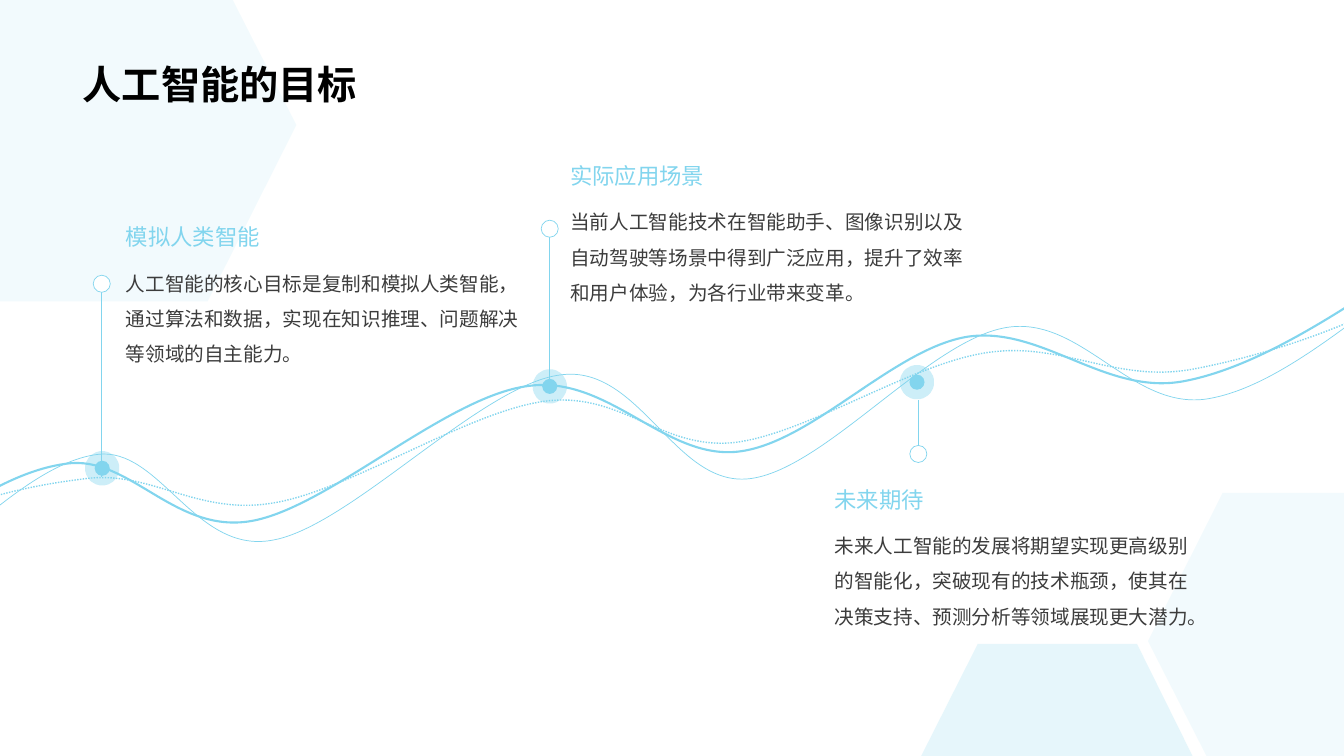
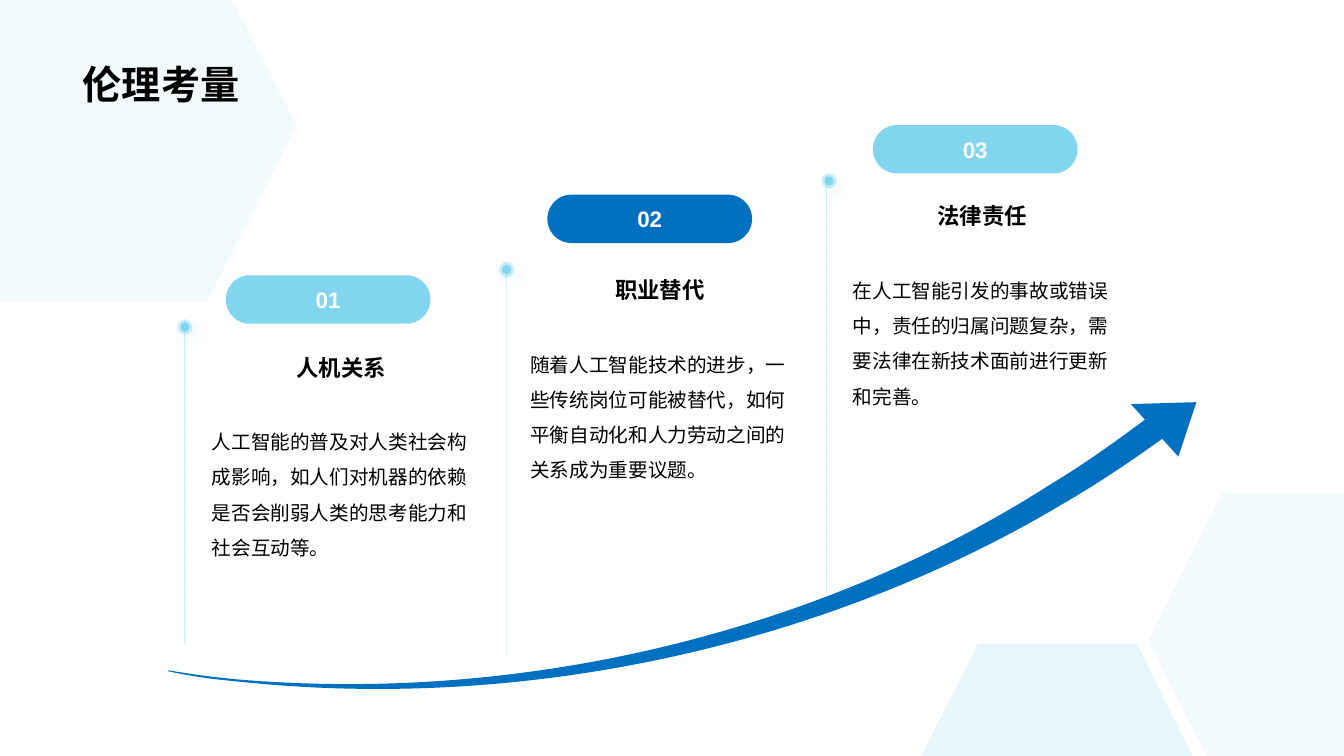
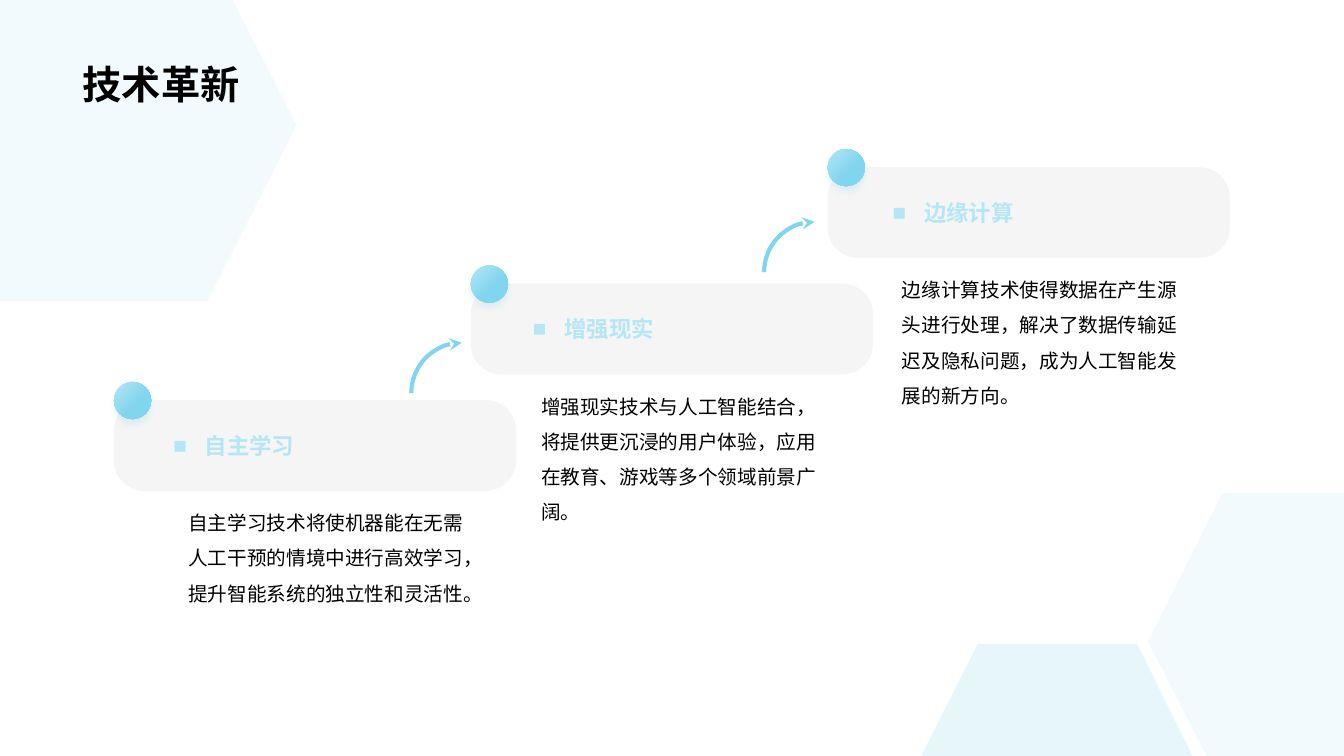
from lxml.etree import SubElement
from pptx import Presentation
from pptx.dml.color import RGBColor
from pptx.enum.dml import MSO_LINE
from pptx.enum.shapes import MSO_CONNECTOR, MSO_SHAPE
from pptx.enum.text import MSO_ANCHOR, MSO_AUTO_SIZE, PP_ALIGN
from pptx.oxml.ns import qn
from pptx.util import Pt

SKY = RGBColor(0x82, 0xD5, 0xEE)
PALE_SKY = RGBColor(0xB4, 0xE6, 0xF5)
BLUE = RGBColor(0x00, 0x70, 0xC0)
CARD_GREY = RGBColor(0xF5, 0xF5, 0xF5)
TEXT_GREY = RGBColor(0x3C, 0x3C, 0x3C)
BLACK = RGBColor(0, 0, 0)
WHITE = RGBColor(0xFF, 0xFF, 0xFF)
CJK = "Noto Sans CJK SC"
LATIN = "Arial"
WIDTH, HEIGHT = 960, 540

HEXAGONS = [
    (10, [(0, 0), (166.3, 0), (211.7, 89.3), (148.3, 215.3), (0, 215.3)]),
    (20, [(698.4, 460), (812.2, 460), (851.8, 540), (658, 540)]),
    (10, [(873.4, 352), (960, 352), (960, 540), (861.8, 540), (820, 458)]),
]

WAVES = [
    (1.5, None, [
        (-89.3, 408.2), (-43.2, 372.2), (2.9, 337), (47.5, 331.2),
        (92.2, 324.7), (124.6, 381.6), (179.3, 372.2),
        (234, 362.9), (318.2, 283.7), (376.6, 275.8),
        (434.2, 267.1), (474.5, 328.3), (527, 322.6),
        (579.6, 316.8), (637.9, 249.1), (691.2, 240.5),
        (744.5, 232.6), (789.8, 283), (846, 272.2),
        (902.2, 261.4), (964.8, 218.2), (1028.2, 175)]),
    (1, MSO_LINE.ROUND_DOT, [
        (-90, 396.7), (-43.9, 360.7), (13, 347.8), (60.5, 342),
        (108, 335.5), (140.4, 368.6), (195.1, 359.3),
        (249.8, 350.6), (334.1, 293.8), (389.5, 286.6),
        (444.2, 279.4), (472.3, 321.8), (524.9, 316.1),
        (576.7, 309.6), (649.4, 260.6), (704.2, 252),
        (758.9, 243.4), (797, 274.3), (853.2, 263.5),
        (909.4, 252.7), (982.8, 229), (1045.4, 185.8)]),
    (0.5, None, [
        (-74.2, 422.6), (-28.1, 386.6), (24.5, 330.5), (69.1, 324.7),
        (113.8, 318.2), (139, 396), (194.4, 385.9),
        (249.8, 376.6), (343.4, 275), (400.3, 267.8),
        (457.2, 259.9), (481.7, 347.8), (535, 342),
        (588.2, 336.2), (663.1, 243.4), (718.6, 234),
        (773.3, 224.6), (809.3, 295.9), (865.4, 284.4),
        (921.6, 273.6), (985, 211.7), (1048.3, 169.2)]),
]

GOALS = [
    dict(heading="模拟人类智能", at=(82.8, 156.2), width=298.8,
         body="人工智能的核心目标是复制和模拟人类智能，通过算法和数据，实现在知识推理、问题解决等领域的自主能力。",
         node=(73, 334.5), ring=(72.7, 202.7), stem=(340.6, 208.8)),
    dict(heading="实际应用场景", at=(400.3, 112.3), width=301,
         body="当前人工智能技术在智能助手、图像识别以及自动驾驶等场景中得到广泛应用，提升了效率和用户体验，为各行业带来变革。",
         node=(392.7, 276), ring=(392.7, 163.4), stem=(270.7, 169.5)),
    dict(heading="未来期待", at=(589, 343.4), width=270.7,
         body="未来人工智能的发展将期望实现更高级别的智能化，突破现有的技术瓶颈，使其在决策支持、预测分析等领域展现更大潜力。",
         node=(655, 273), ring=(656, 324.3), stem=(285.8, 318.2)),
]

CONCERNS = [
    dict(number="01", color=SKY, heading="人机关系", pill=(161.3, 196.6),
         body="人工智能的普及对人类社会构成影响，如人们对机器的依赖是否会削弱人类的思考能力和社会互动等。",
         at=(142.6, 249.1), dot=(132.1, 233.6), stem=(131.8, 228.2, 460.8)),
    dict(number="02", color=BLUE, heading="职业替代", pill=(391, 139),
         body="随着人工智能技术的进步，一些传统岗位可能被替代，如何平衡自动化和人力劳动之间的关系成为重要议题。",
         at=(370.1, 193.7), dot=(361.8, 192.6), stem=(361.4, 186.5, 468.7)),
    dict(number="03", color=SKY, heading="法律责任", pill=(623.5, 89.3),
         body="在人工智能引发的事故或错误中，责任的归属问题复杂，需要法律在新技术面前进行更新和完善。",
         at=(600.5, 141.1), dot=(592.2, 129.2), stem=(590.4, 126, 423.4)),
]
SWOOSH_UPPER = [
    (120.2, 478.8), (136.8, 481.7), (152.6, 483.8), (169.2, 485.3),
    (379.4, 503.3), (589.7, 448.6), (748.8, 347),
    (774, 331.9), (797, 315.4), (820.1, 298.1)]
SWOOSH_LOWER = [
    (834.5, 310.3), (810.7, 327.6), (786.2, 344.2), (760.3, 359.3),
    (595.4, 457.9), (381.6, 509.8), (168.5, 486.7),
    (152.6, 485.3), (136.1, 483.1), (120.2, 479.5)]
SWOOSH_HEAD = [(807.8, 288.7), (841.7, 326.2), (854.6, 287.3)]

INNOVATIONS = [
    ("自主学习", "自主学习技术将使机器能在无需人工干预的情境中进行高效学习，提升智能系统的独立性和灵活性。", 127.4),
    ("增强现实", "增强现实技术与人工智能结合，将提供更沉浸的用户体验，应用在教育、游戏等多个领域前景广阔。", 379.4),
    ("边缘计算", "边缘计算技术使得数据在产生源头进行处理，解决了数据传输延迟及隐私问题，成为人工智能发展的新方向。", 637.2),
]
STEP_ARCS = [(293.8, 244.8), (545.8, 158.4)]


def set_alpha(holder, percent):
    for color in holder.iter(qn("a:srgbClr")):
        SubElement(color, qn("a:alpha")).set("val", str(percent * 1000))


def paint(shape, fill=None, alpha=None, line=None, weight=1):
    shape.shadow.inherit = False
    if fill is None:
        shape.fill.background()
    else:
        shape.fill.solid()
        shape.fill.fore_color.rgb = fill
        if alpha:
            set_alpha(shape.element.spPr.find(qn("a:solidFill")), alpha)
    if line is None:
        shape.line.fill.background()
    else:
        shape.line.color.rgb = line
        shape.line.width = Pt(weight)
    return shape


def cast_shadow(shape, alpha, blur, distance, angle):
    shadow = SubElement(shape.element.spPr.find(qn("a:effectLst")), qn("a:outerShdw"))
    shadow.set("blurRad", str(Pt(blur)))
    shadow.set("dist", str(Pt(distance)))
    shadow.set("dir", str(angle * 60000))
    shadow.set("algn", "ctr")
    shadow.set("rotWithShape", "0")
    SubElement(shadow, qn("a:srgbClr")).set("val", str(SKY))
    set_alpha(shadow, alpha)


def add_box(slide, kind, x, y, width, height):
    return slide.shapes.add_shape(kind, Pt(x), Pt(y), Pt(width), Pt(height))


def add_disc(slide, center, size):
    x, y = center
    return add_box(slide, MSO_SHAPE.OVAL, x - size / 2, y - size / 2, size, size)


def add_outline(slide, points, close=True):
    corners = [(Pt(x), Pt(y)) for x, y in points]
    builder = slide.shapes.build_freeform(*corners[0])
    builder.add_line_segments(corners[1:], close=close)
    return builder.convert_to_shape()


def add_curves(slide, *runs, close=False):
    shape = add_outline(slide, [point for run in runs for point in run], close)
    segments = list(shape.element.spPr.iter(qn("a:lnTo")))
    first = 0
    for run in runs:
        for start in range(first, first + len(run) - 1, 3):
            trio = segments[start:start + 3]
            outline = trio[0].getparent()
            curve = SubElement(outline, qn("a:cubicBezTo"))
            trio[0].addprevious(curve)
            for segment in trio:
                curve.append(segment[0])
                outline.remove(segment)
        first += len(run)
    return shape


def add_stem(slide, x, start, end):
    stem = slide.shapes.add_connector(
        MSO_CONNECTOR.STRAIGHT, Pt(x), Pt(start), Pt(x), Pt(end))
    stem.line.color.rgb = SKY
    stem.line.width = Pt(0.5)
    SubElement(stem.element.spPr, qn("a:effectLst"))
    return stem


def write(frame, text, size, color, font=CJK, bold=False, align=PP_ALIGN.LEFT, spacing=None):
    frame.text = text
    frame.word_wrap = True
    paragraph = frame.paragraphs[0]
    paragraph.alignment = align
    if spacing:
        paragraph.line_spacing = spacing
    run = paragraph.runs[0]
    run.font.size = Pt(size)
    run.font.bold = bold
    run.font.color.rgb = color
    run.font.name = font
    SubElement(run._r.get_or_add_rPr(), qn("a:ea")).set("typeface", font)
    return paragraph


def set_margins(frame, margin):
    frame.margin_left = frame.margin_right = Pt(margin)
    frame.margin_top = frame.margin_bottom = Pt(margin)


def add_text(slide, x, y, width, height, *args, **style):
    frame = slide.shapes.add_textbox(Pt(x), Pt(y), Pt(width), Pt(height)).text_frame
    write(frame, *args, **style)
    return frame


def add_titled_slide(deck, title):
    slide = deck.slides.add_slide(deck.slide_layouts[5])
    holder = slide.shapes.title
    holder.left, holder.top, holder.width, holder.height = Pt(52), Pt(0), Pt(855), Pt(80.6)
    write(holder.text_frame, title, 28, BLACK, bold=True, spacing=0.9)
    holder.text_frame.auto_size = MSO_AUTO_SIZE.NONE
    holder.text_frame.vertical_anchor = MSO_ANCHOR.BOTTOM
    return slide


def decorate_layout(slide):
    layout = slide.slide_layout
    for holder in list(layout.placeholders):
        if holder.placeholder_format.idx != 0:
            holder.element.getparent().remove(holder.element)
    for position, (alpha, corners) in enumerate(HEXAGONS, start=2):
        hexagon = paint(add_outline(slide, corners), SKY, alpha)
        layout.shapes.element.insert(position, hexagon.element)


def draw_goals(slide):
    for weight, dash, controls in WAVES:
        wave = paint(add_curves(slide, controls), line=SKY, weight=weight)
        if dash:
            wave.line.dash_style = dash
    for goal in GOALS:
        node = paint(add_disc(slide, goal["node"], 10.8), SKY, line=SKY, weight=14)
        set_alpha(node.element.spPr.find(qn("a:ln")), 40)
        add_stem(slide, goal["ring"][0], *goal["stem"])
        paint(add_disc(slide, goal["ring"], 12.2), WHITE, line=SKY, weight=0.5)
        x, y = goal["at"]
        add_text(slide, x, y, goal["width"], 26.6, goal["heading"], 16, SKY)
        add_text(slide, x, y + 26, goal["width"], 84, goal["body"], 14, TEXT_GREY, spacing=1.5)


def draw_concerns(slide):
    for concern in CONCERNS:
        pill = paint(add_box(slide, MSO_SHAPE.ROUNDED_RECTANGLE, *concern["pill"], 146.2, 34.6),
                     concern["color"])
        pill.adjustments[0] = 0.5
        set_margins(pill.text_frame, 7.2)
        pill.text_frame.vertical_anchor = MSO_ANCHOR.MIDDLE
        write(pill.text_frame, concern["number"], 16, WHITE, LATIN, True, PP_ALIGN.CENTER)

        stem = add_stem(slide, *concern["stem"])
        stem.line.dash_style = MSO_LINE.SQUARE_DOT
        set_alpha(stem.element.spPr.find(qn("a:ln")), 50)
        paint(add_disc(slide, concern["dot"], 10.8), SKY, 40)
        cast_shadow(paint(add_disc(slide, concern["dot"], 6.5), SKY), 40, 10, 5, 45)

        x, y = concern["at"]
        add_text(slide, x, y, 202.3, 26.6, concern["heading"], 16, BLACK,
                 bold=True, align=PP_ALIGN.CENTER)
        body = add_text(slide, x, y + 41, 202.3, 118, concern["body"], 14, BLACK, spacing=1.5)
        set_margins(body, 8.64)
    paint(add_curves(slide, SWOOSH_UPPER, SWOOSH_LOWER, close=True), BLUE)
    paint(add_outline(slide, SWOOSH_HEAD), BLUE)


def draw_innovations(slide):
    for index, (heading, body, body_left) in enumerate(INNOVATIONS):
        left, top = 81.4 + 254.9 * index, 285.8 - 83.2 * index
        card = paint(add_box(slide, MSO_SHAPE.ROUNDED_RECTANGLE, left, top, 287.3, 64.8), CARD_GREY)
        card.adjustments[0] = 0.335
        frame = card.text_frame
        frame.margin_left = Pt(36 + 2 * index)
        frame.vertical_anchor = MSO_ANCHOR.MIDDLE
        properties = write(frame, heading, 16, PALE_SKY, bold=True)._p.get_or_add_pPr()
        properties.set("marL", str(Pt(22.5)))
        properties.set("indent", str(Pt(-22.5)))
        SubElement(properties, qn("a:buFont")).set("typeface", LATIN)
        SubElement(properties, qn("a:buChar")).set("char", "■")

        ball = paint(add_disc(slide, (left + 13.3, top + 0.3), 26.6), SKY)
        ball.fill.gradient()
        ball.fill.gradient_angle = 315
        for stop, color, position in zip(ball.fill.gradient_stops, (PALE_SKY, SKY), (0, 0.6)):
            stop.color.rgb = color
            stop.position = position
        cast_shadow(ball, 20, 4, 4, 90)
        add_text(slide, body_left, top + 67.3, 222.5, 108, body, 14, BLACK, spacing=1.5)
    for x, y in STEP_ARCS:
        arc = paint(add_box(slide, MSO_SHAPE.ARC, x, y, 72, 72), line=SKY, weight=3)
        arc.rotation = 270
        SubElement(arc.element.spPr.find(qn("a:ln")), qn("a:tailEnd")).set("type", "stealth")


SLIDES = [
    ("人工智能的目标", draw_goals),
    ("伦理考量", draw_concerns),
    ("技术革新", draw_innovations),
]


def main():
    deck = Presentation()
    deck.slide_width, deck.slide_height = Pt(WIDTH), Pt(HEIGHT)
    for index, (title, draw) in enumerate(SLIDES):
        slide = add_titled_slide(deck, title)
        if index == 0:
            decorate_layout(slide)
        draw(slide)
    deck.save("out.pptx")


if __name__ == "__main__":
    main()
